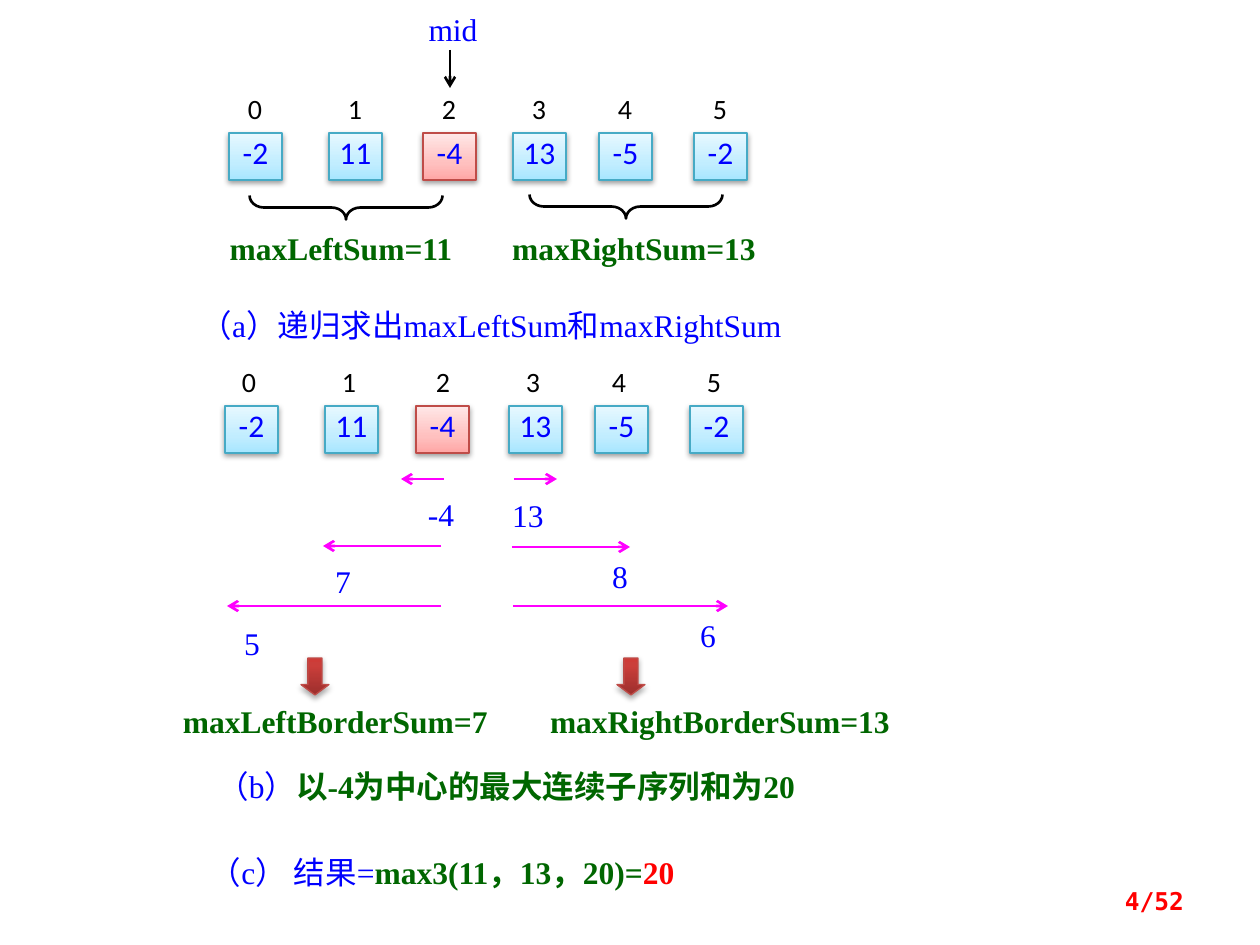
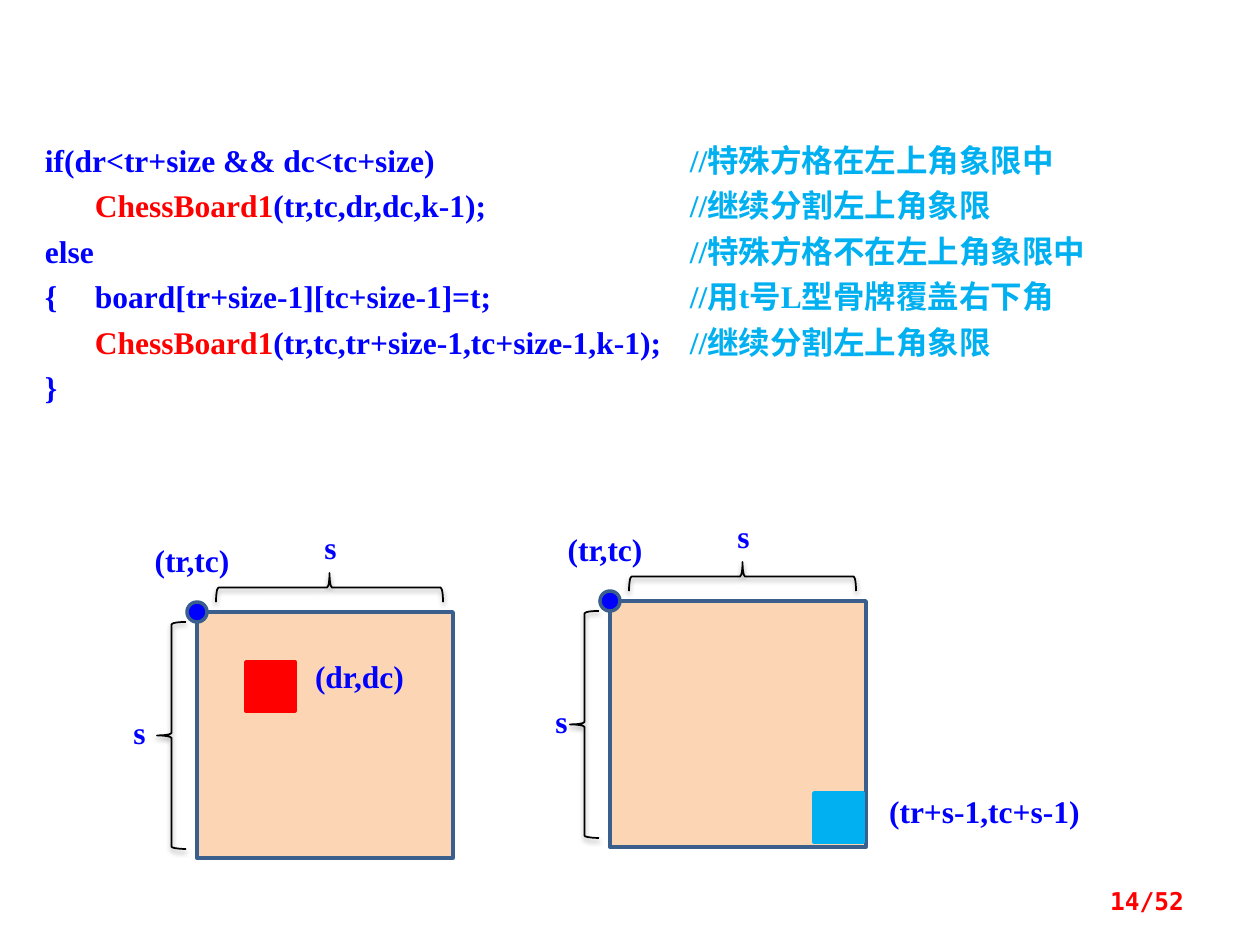
import lxml.etree
import pptx
import pptx.dml.color
import pptx.enum.shapes
import pptx.enum.text
import pptx.oxml.ns
import pptx.util

PX = 914400 / 126
SHAPE = pptx.enum.shapes.MSO_SHAPE
ALIGN = pptx.enum.text.PP_ALIGN
ANCHOR = pptx.enum.text.MSO_ANCHOR
Pt = pptx.util.Pt
qn = pptx.oxml.ns.qn


class Theme:
    white, black, blue, red = "FFFFFF", "000000", "0000FF", "FF0000"
    green, magenta, sky = "006600", "FF00FF", "00B0F0"
    board, board_line = "FCD5B5", "3A5F8C"
    # Gradients run from the bottom up: (percent, colour)
    cell = [(0, "A7E6FF"), (35, "C1EDFF"), (100, "E7F8FF")]
    mid_cell = [(0, "FFA6A5"), (35, "FFC0BF"), (100, "FFE7E7")]
    arrow = [(0, "9C2F2D"), (80, "CB3E3A"), (100, "CE3B37")]
    cell_line, red_line = "46AAC5", "BF4C48"
    soft, deep = (38, 20000), (35, 23000)  # shadow opacity, distance
    styles = {
        "body": dict(name="Times New Roman", size=Pt(18), bold=False),
        "strong": dict(name="Times New Roman", size=Pt(18), bold=True),
        "cell": dict(name="Calibri", size=Pt(18), bold=False),
        "index": dict(name="Calibri", size=Pt(16), bold=False),
        "page": dict(name="DejaVu Sans Mono", size=Pt(14), bold=True),
    }


T = Theme

# ---- Content: maximum subsequence sum ----
VALUES = ["-2", "11", "-4", "13", "-5", "-2"]
COLUMNS = [229, 329, 423, 513, 599, 694]
MID = 2
ROWS = [  # cell top, cell shift, extra shift of the middle, index top, index shift
    (133, 0, 0, 92, 6),
    (406, -4, -3, 365, 0),
]
CAPTIONS = [  # box, runs of (text, style, colour)
    ((426, 10, 54, 35), [("mid", "body", T.blue)]),
    ((212, 229, 258, 38), [("maxLeftSum=11", "strong", T.green)]),
    ((505, 229, 258, 38), [("maxRightSum=13", "strong", T.green)]),
    ((168, 306, 646, 47), [("（a）递归求出maxLeftSum和maxRightSum", "body", T.blue)]),
    ((173, 702, 325, 35), [("maxLeftBorderSum=7", "strong", T.green)]),
    ((548, 702, 344, 35), [("maxRightBorderSum=13", "strong", T.green)]),
    ((183, 767, 646, 47), [("（b）", "body", T.blue),
                           ("以-4为中心的最大连续子序列和为20", "strong", T.green)]),
]
RESULT = [("（c） 结果=", "body", T.blue), ("max3(11，13，20)=", "strong", T.green),
          ("20", "strong", T.red)]
SCANS = [  # from x, to x, y, running sum, its left and top
    (444, 401, 479, "-4", 421, 495),
    (441, 323, 546, "7", 323, 562),
    (441, 227, 606, "5", 232, 624),
    (514, 557, 479, "13", 508, 496),
    (512, 630, 547, "8", 600, 557),
    (513, 728, 606, "6", 688, 616),
]
SUM_BRACES = [(334, 111), (614, 110)]
DOWN_ARROWS = [301, 617]

# ---- Content: chessboard cover ----
CALL = ("ChessBoard1", T.red)
CODE = [  # code runs, comment
    ([("if(dr<tr+size && dc<tc+size)", T.blue)], "//特殊方格在左上角象限中"),
    ([("\t", T.blue), CALL, ("(tr,tc,dr,dc,k-1);", T.blue)], "//继续分割左上角象限"),
    ([("else", T.blue)], "//特殊方格不在左上角象限中"),
    ([("{\tboard[tr+size-1][tc+size-1]=t;", T.blue)], "//用t号L型骨牌覆盖右下角"),
    ([("\t", T.blue), CALL, ("(tr,tc,tr+size-1,tc+size-1,k-1);", T.blue)],
     "//继续分割左上角象限"),
    ([("}", T.blue)], ""),
]
INDENT_TAB, COMMENT_TAB = 50, 645
BOARDS = [  # corner, left of side "s", special square, its colour, label, label box
    ((197, 612), 120, (246, 662), T.red, "(dr,dc)", (286, 658, 147, 43)),
    ((610, 601), 542, (814, 793), T.sky, "(tr+s-1,tc+s-1)", (876, 793, 217, 43)),
]


# ---- Drawing helpers ----
def emu(*lengths):
    return [round(v * PX) for v in lengths]


def rgb(value):
    return pptx.dml.color.RGBColor.from_string(value)


def add_xml(parent, tag, **attrs):
    return lxml.etree.SubElement(parent, qn(tag), **{k: str(v) for k, v in attrs.items()})


def add_color(parent, value, **children):
    clr = add_xml(parent, "a:srgbClr", val=value)
    for tag, val in children.items():
        add_xml(clr, "a:" + tag, val=val)


def add_part(shapes, kind, box, fill=None, line=None, width=1, shadow=None,
             rotation=0, adjust=()):
    sp = shapes.add_shape(kind, *emu(*box))
    sp.rotation = rotation
    for i, value in enumerate(adjust):
        sp.adjustments[i] = value
    sp.shadow.inherit = False
    spPr = sp._element.spPr
    if isinstance(fill, list):
        sp.fill.gradient()
        sp.fill.gradient_angle = 90
        stops = spPr.find(qn("a:gradFill")).find(qn("a:gsLst"))
        for old in list(stops):
            stops.remove(old)
        for percent, color in fill:
            add_color(add_xml(stops, "a:gs", pos=percent * 1000), color)
    elif fill:
        sp.fill.solid()
        sp.fill.fore_color.rgb = rgb(fill)
    else:
        sp.fill.background()
    if line:
        sp.line.color.rgb = rgb(line)
        sp.line.width = Pt(width)
    else:
        sp.line.fill.background()
    if shadow:
        opacity, dist = shadow
        outer = add_xml(spPr.find(qn("a:effectLst")), "a:outerShdw", blurRad=40000,
                        dist=dist, dir=5400000, rotWithShape=0)
        add_color(outer, T.black, alpha=opacity * 1000)
    return sp


def add_runs(p, runs):
    for text, style, color in runs:
        r = p.add_run()
        r.text = text
        for key, value in T.styles[style].items():
            setattr(r.font, key, value)
        r.font.color.rgb = rgb(color)


def write(sp, runs, align=ALIGN.CENTER, anchor=ANCHOR.TOP, inset=None, wrap=True):
    tf = sp.text_frame
    tf.word_wrap = wrap
    tf.vertical_anchor = anchor
    if inset:
        sides = ("margin_left", "margin_top", "margin_right", "margin_bottom")
        for side, value in zip(sides, emu(*inset)):
            setattr(tf, side, value)
    else:
        tf.margin_left = tf.margin_right = tf.margin_top = tf.margin_bottom = 0
    p = tf.paragraphs[0]
    p.alignment = align
    add_runs(p, runs)
    return p


TEXT_INSET = (13, 6, 13, 6)


def add_label(shapes, box, runs):
    write(add_part(shapes, SHAPE.RECTANGLE, box, T.white), runs)


def add_text(shapes, box, runs, **options):
    return write(shapes.add_textbox(*emu(*box)), runs, inset=TEXT_INSET, **options)


def add_arrow(shapes, x1, y1, x2, y2, color):
    c = shapes.add_connector(pptx.enum.shapes.MSO_CONNECTOR.STRAIGHT, *emu(x1, y1, x2, y2))
    c.line.color.rgb = rgb(color)
    c.line.width = Pt(1.5)
    spPr = c._element.spPr
    add_xml(spPr.find(qn("a:ln")), "a:tailEnd", type="arrow")
    add_xml(spPr, "a:effectLst")


def new_slide(prs):
    return prs.slides.add_slide(prs.slide_layouts[6])


def add_page(s, number):
    add_text(s.shapes, (903, 876, 294, 50), [(f"{number}/52", "page", T.red)],
             align=ALIGN.RIGHT, anchor=ANCHOR.MIDDLE)


# ---- Slides ----
def build_sums(prs):
    s = new_slide(prs)
    shapes = s.shapes
    for box, runs in CAPTIONS:
        add_label(shapes, box, runs)

    # Array rows with their indices
    for top, shift, mid_shift, index_top, index_shift in ROWS:
        for i, (x, value) in enumerate(zip(COLUMNS, VALUES)):
            is_mid = i == MID
            left = x + shift + (mid_shift if is_mid else 0)
            cell = add_part(shapes, SHAPE.RECTANGLE, (left, top, 53, 47),
                            T.mid_cell if is_mid else T.cell,
                            T.red_line if is_mid else T.cell_line, 0.75, T.soft)
            write(cell, [(value, "cell", T.blue)])
            add_label(shapes, (x + index_shift, index_top, 40, 35),
                      [(str(i), "index", T.black)])

    # Pointer to mid and braces under the halves
    add_arrow(shapes, 450, 50, 450, 88, T.black)
    for left, top in SUM_BRACES:
        add_part(shapes, SHAPE.LEFT_BRACE, (left, top, 24, 193), line=T.black,
                 width=1.5, rotation=270, adjust=(0.6, 0.5))

    # Scans outwards from the middle
    for x1, x2, y, total, left, top in SCANS:
        add_arrow(shapes, x1, y, x2, y, T.magenta)
        add_label(shapes, (left, top, 40, 35), [(total, "body", T.blue)])
    for left in DOWN_ARROWS:
        add_part(shapes, SHAPE.DOWN_ARROW, (left, 658, 28, 37), T.arrow, T.red_line,
                 0.75, T.deep, adjust=(0.5, 0.37))

    add_text(shapes, (197, 847, 532, 50), RESULT, align=ALIGN.LEFT)
    add_page(s, 4)


def build_code(s):
    sp = add_part(s.shapes, SHAPE.RECTANGLE, (20, 118, 1211, 306), T.white)
    write(sp, [], inset=(25, 15, 13, 15))
    tf = sp.text_frame
    for i, (code, comment) in enumerate(CODE):
        p = tf.add_paragraph() if i else tf.paragraphs[0]
        p.alignment = ALIGN.LEFT
        p.line_spacing = Pt(26)
        indented = any("\t" in text for text, _ in code)
        tabs = add_xml(p._p.get_or_add_pPr(), "a:tabLst")
        for pos in emu(*([INDENT_TAB] if indented else []), COMMENT_TAB):
            add_xml(tabs, "a:tab", pos=pos, algn="l")
        add_runs(p, [(text, "strong", color) for text, color in code])
        if comment:
            add_runs(p, [("\t" + comment, "strong", T.sky)])


def build_board(s, corner, side_left, square, color, label, label_box):
    x, y = corner
    shapes = s.shapes.add_group_shape().shapes
    add_part(shapes, SHAPE.RECTANGLE, (x, y, 256, 246), T.board, T.board_line, 2)
    add_part(shapes, SHAPE.RECTANGLE, (*square, 49, 49), color, color, 2)
    add_part(shapes, SHAPE.OVAL, (x - 10, y - 10, 20, 20), T.blue, T.board_line, 2)
    for left, top, turn in ((x - 40, y + 10, 0), (x + 118, y - 138, 90)):
        add_part(shapes, SHAPE.LEFT_BRACE, (left, top, 29, 227), line=T.black,
                 shadow=T.soft, rotation=turn)
    for text, box in (("(tr,tc)", (x - 89, y - 70, 168, 43)),
                      ("s", (x + 114, y - 83, 39, 43)),
                      ("s", (side_left, y + 102, 39, 43)),
                      (label, label_box)):
        p = add_text(shapes, box, [(text, "strong", T.blue)], wrap=False)
        p.line_spacing = 0.8


def build_chessboard(prs):
    s = new_slide(prs)
    for board in BOARDS:
        build_board(s, *board)
    build_code(s)
    add_page(s, 14)


def main():
    prs = pptx.Presentation()
    prs.slide_width, prs.slide_height = emu(1260, 945)
    build_sums(prs)
    build_chessboard(prs)
    prs.save("out.pptx")


if __name__ == "__main__":
    main()
